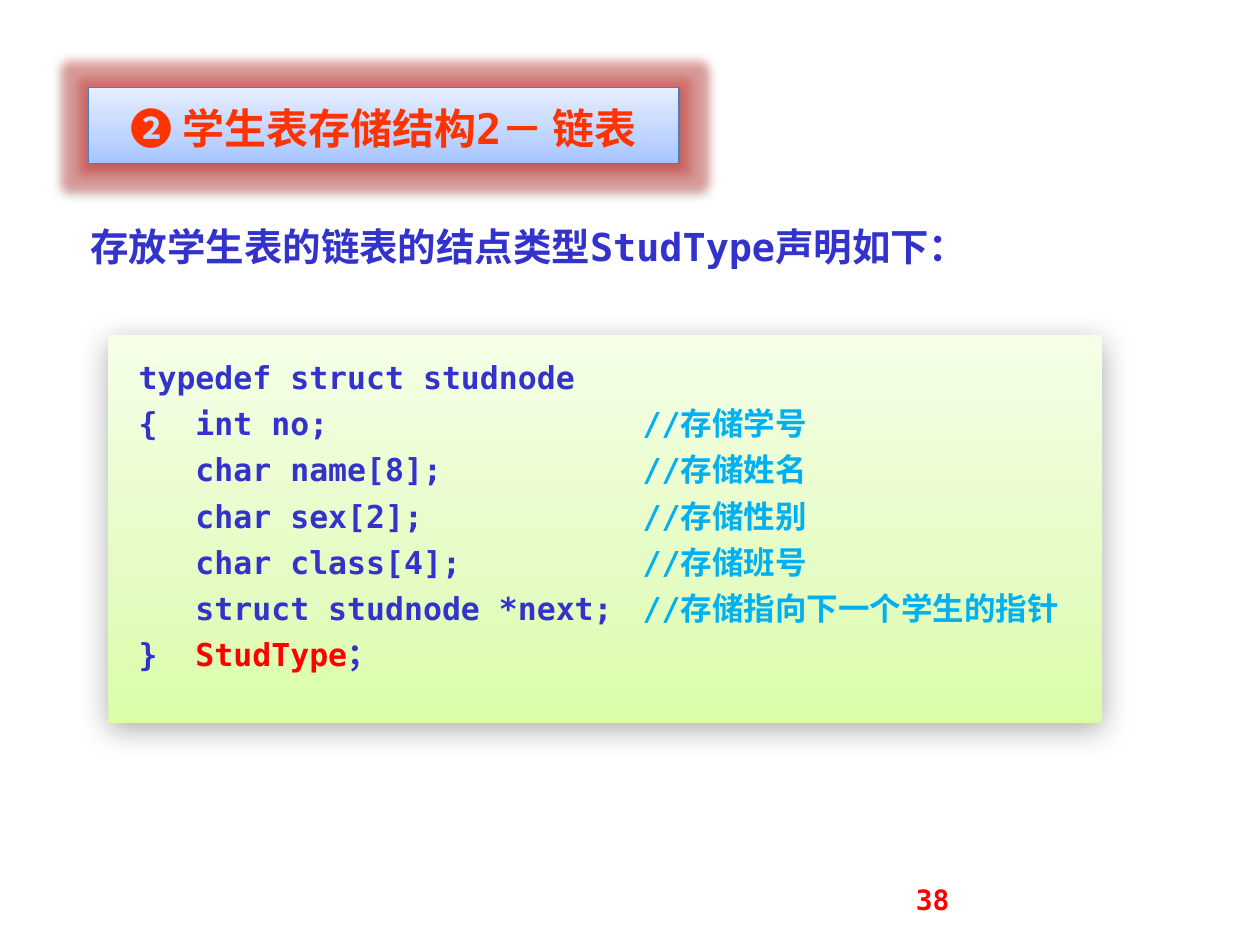
from lxml import etree
from pptx import Presentation, util as u
from pptx.dml.color import RGBColor
from pptx.enum import shapes, text
from pptx.oxml import parse_xml
from pptx.oxml.ns import nsdecls, qn

W, H = 10, 7.5
FONT = "DejaVu Sans Mono"
BLUE, CYAN, RED, ORANGE = "3333CC", "00B0F0", "FF0000", "FF3300"
COMMENT_TAB = 4

TITLE = "❷ 学生表存储结构2－ 链表"
INTRO = "存放学生表的链表的结点类型StudType声明如下："
FIELDS = [
    ("{  int no;", "存储学号"),
    ("   char name[8];", "存储姓名"),
    ("   char sex[2];", "存储性别"),
    ("   char class[4];", "存储班号"),
    ("   struct studnode *next;", "存储指向下一个学生的指针"),
]
CODE = [
    [("typedef struct studnode", BLUE)],
    *[[(code + "\t", BLUE), ("//" + note, CYAN)] for code, note in FIELDS],
    [("}  ", BLUE), ("StudType", RED), ("；", BLUE)],
]

# Left, top, width, height as shares of the slide
CODE_BOX = (0.086, 0.355, 0.789, 0.41)
INTRO_BOX = (0.062, 0.229, 0.761, 0.063)
TITLE_BOX = (0.07, 0.093, 0.469, 0.08)
NUMBER_BOX = (0.717, 0.927, 0.233, 0.053)

GREENS = [(0, "DAFDA7"), (35, "E4FCC2"), (100, "F5FFE7")]
BLUES = [(0, "A4C4FF"), (35, "BFD4FF"), (100, "E6EEFF")]


def rgb(value):
    return RGBColor.from_string(value)


def place(box):
    return [u.Inches(share * side) for share, side in zip(box, (W, H, W, H))]


def tint(value, alpha):
    return f'<a:srgbClr val="{value}"><a:alpha val="{alpha * 1000}"/></a:srgbClr>'


def add_panel(s, box, stops, shadow, glow=None, line=None):
    """Rectangle with a gradient rising from the bottom edge and soft effects."""
    sp = s.shapes.add_shape(shapes.MSO_SHAPE.RECTANGLE, *place(box))
    if line:
        sp.line.color.rgb = rgb(line)
        sp.line.width = u.Pt(0.75)
    else:
        sp.line.fill.background()
    sp.fill.gradient()
    sp.fill.gradient_angle = 90
    gs_list = sp._element.spPr.find(qn("a:gradFill")).find(qn("a:gsLst"))
    for old in list(gs_list):
        gs_list.remove(old)
    for pos, color in stops:
        gs = etree.SubElement(gs_list, qn("a:gs"), pos=str(pos * 1000))
        etree.SubElement(gs, qn("a:srgbClr"), val=color)
    alpha, blur, dist, angle = shadow
    halo = f'<a:glow rad="{u.Pt(glow[1])}">{tint(glow[0], 40)}</a:glow>' if glow else ""
    sp._element.spPr.append(parse_xml(
        f'<a:effectLst {nsdecls("a")}>{halo}'
        f'<a:outerShdw blurRad="{u.Pt(blur)}" dist="{u.Pt(dist)}" dir="{angle * 60000}" '
        f'algn="ctr" rotWithShape="0">{tint("000000", alpha)}</a:outerShdw></a:effectLst>'))
    return sp


def write(sp, lines, size, insets=(0.1, 0.05, 0.1, 0.05), tab=None,
          anchor=text.MSO_ANCHOR.TOP, **layout):
    tf = sp.text_frame
    tf.word_wrap = True
    tf.vertical_anchor = anchor
    for side, inset in zip(("left", "top", "right", "bottom"), insets):
        setattr(tf, "margin_" + side, u.Inches(inset))
    for i, runs in enumerate(lines):
        p = tf.add_paragraph() if i else tf.paragraphs[0]
        for name, value in layout.items():
            setattr(p, name, value)
        pPr = p._p.get_or_add_pPr()
        if i:
            before = etree.SubElement(pPr, qn("a:spcBef"))
            etree.SubElement(before, qn("a:spcPct"), val="50000")
        if tab:
            tabs = etree.SubElement(pPr, qn("a:tabLst"))
            etree.SubElement(tabs, qn("a:tab"), pos=str(u.Inches(tab)), algn="l")
        for words, color in runs:
            r = p.add_run()
            r.text = words
            for name, value in dict(name=FONT, size=u.Pt(size), bold=True).items():
                setattr(r.font, name, value)
            r.font.color.rgb = rgb(color)


def main():
    prs = Presentation()
    prs.slide_width, prs.slide_height = u.Inches(W), u.Inches(H)
    s = prs.slides.add_slide(prs.slide_layouts[6])
    left, center = text.PP_ALIGN.LEFT, text.PP_ALIGN.CENTER

    panel = add_panel(s, CODE_BOX, GREENS, shadow=(33, 17.8, 4, 87))
    write(panel, CODE, 18, (0.24, 0.24, 0.1, 0.24), COMMENT_TAB,
          alignment=left, line_spacing=0.8)

    write(s.shapes.add_textbox(*place(INTRO_BOX)), [[(INTRO, BLUE)]], 22, alignment=left)

    title = add_panel(s, TITLE_BOX, BLUES, shadow=(38, 3.1, 1.6, 90),
                      glow=("D63E38", 11), line="4B7EBC")
    write(title, [[(TITLE, ORANGE)]], 24, (0.1, 0.08, 0.1, 0.08),
          anchor=text.MSO_ANCHOR.MIDDLE, alignment=center, line_spacing=1.1)

    write(s.shapes.add_textbox(*place(NUMBER_BOX)), [[("38", RED)]], 16, alignment=left)
    prs.save("out.pptx")


if __name__ == "__main__":
    main()
